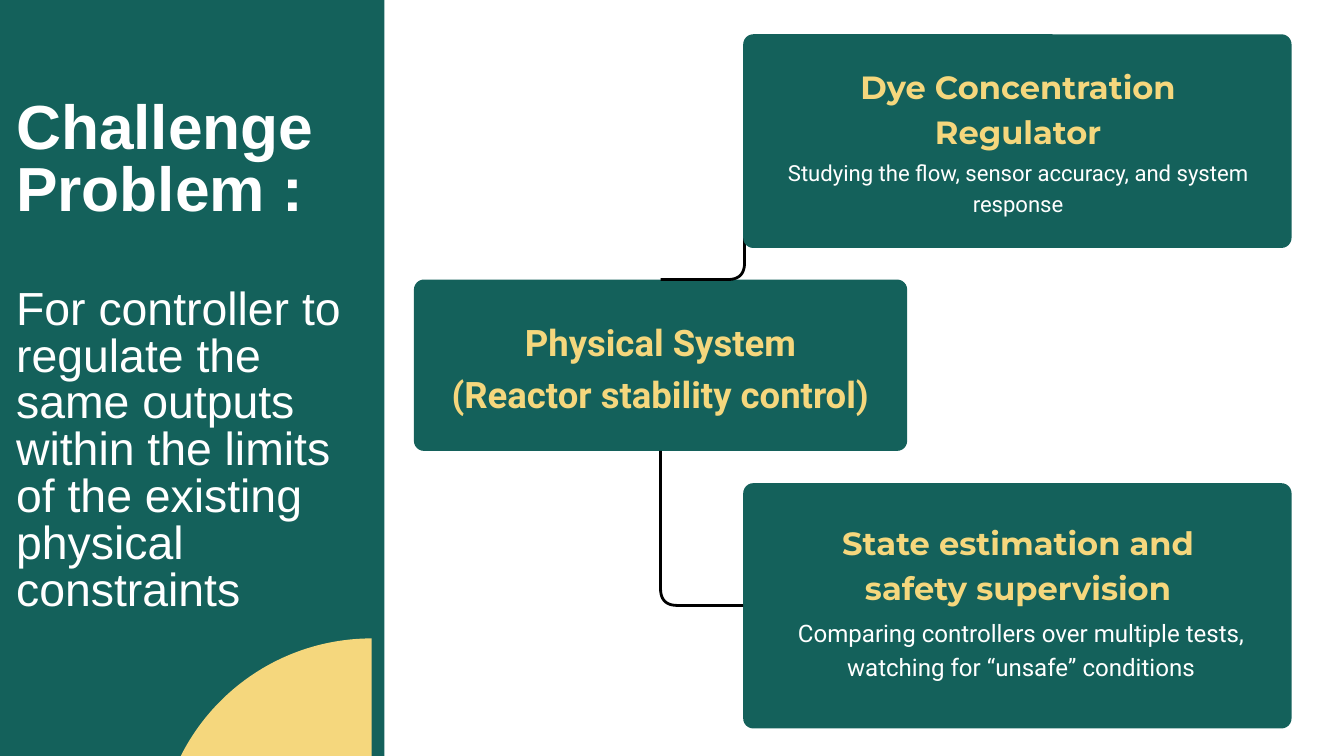
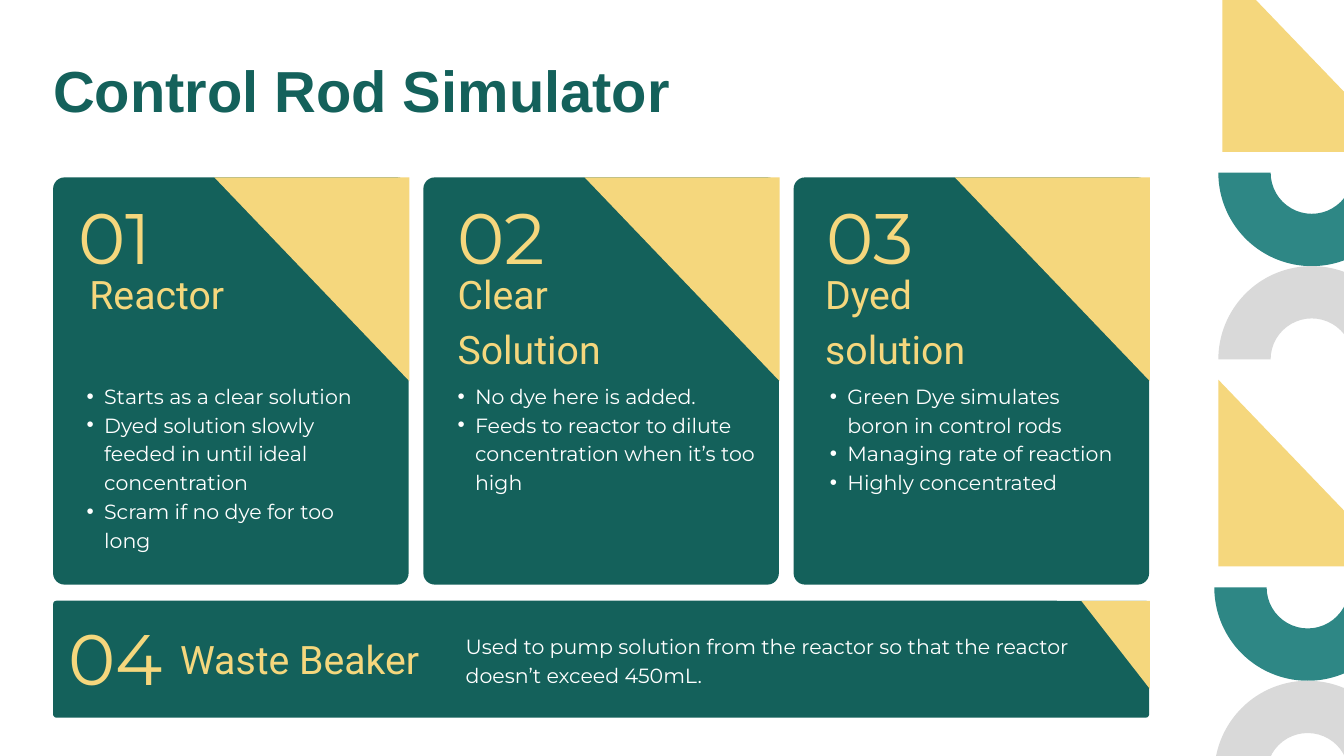
"""Build two slides on the reactor control problem and its simulator."""
from dataclasses import dataclass

from lxml.etree import SubElement
from pptx import Presentation
from pptx.dml.color import RGBColor
from pptx.enum.shapes import MSO_SHAPE as Preset
from pptx.enum.text import MSO_ANCHOR as Anchor, MSO_AUTO_SIZE as AutoSize, PP_ALIGN as Align
from pptx.oxml.ns import qn
from pptx.util import Inches, Pt


@dataclass(frozen=True)
class TextStyle:
    font: str
    size: float
    line: float
    color: str
    bold: bool = False


@dataclass(frozen=True)
class Theme:
    green: str = "14615B"
    teal: str = "2E8785"
    yellow: str = "F5D77D"
    gray: str = "D9D9D9"
    white: str = "FFFFFF"
    black: str = "000000"

    panel_title = TextStyle("Arial", 66.7, 67.3, white, True)
    panel_body = TextStyle("Arial", 49.7, 50.2, white)
    slide_title = TextStyle("Arial", 62, 62.6, green, True)
    system = TextStyle("Roboto", 39.1, 54.8, yellow, True)
    box_title = TextStyle("Montserrat", 34.4, 48.1, yellow, True)
    regulator_note = TextStyle("Roboto", 23.7, 33.1, white)
    supervision_note = TextStyle("Roboto", 25.8, 36.1, white)
    number = TextStyle("Montserrat", 76.5, 107.2, yellow)
    card_title = TextStyle("Roboto", 42, 58.8, yellow)
    card_text = TextStyle("Montserrat", 22, 30.8, white)


class Deck:
    def __init__(self, theme):
        self.theme = theme
        self.presentation = Presentation()
        self.presentation.slide_width = Inches(20)
        self.presentation.slide_height = Inches(11.25)
        self.slide = None

    def add_slide(self, layout_index):
        layout = self.presentation.slide_layouts[layout_index]
        self.slide = self.presentation.slides.add_slide(layout)

    def shape(self, preset, box, color, rotation=0):
        shape = self.slide.shapes.add_shape(preset, *map(Inches, box))
        shape.shadow.inherit = False
        shape.fill.solid()
        shape.fill.fore_color.rgb = RGBColor.from_string(color)
        shape.line.fill.background()
        shape.rotation = rotation
        return shape

    def card(self, box, radius=0.15):
        card = self.shape(Preset.ROUNDED_RECTANGLE, box, self.theme.green)
        card.adjustments[0] = radius / min(box[2:])

    def corner(self, right, top, width, height):
        box = (right - width, top, width, height)
        self.shape(Preset.RIGHT_TRIANGLE, box, self.theme.yellow, 180)

    def half_ring(self, left, top, color, rotation=0):
        ring = self.shape(Preset.BLOCK_ARC, (left, top, 2.78, 2.78), color, rotation)
        ring.adjustments[2] = 0.28

    def rounded_line(self, points, radius=0.25, steps=12):
        route = [points[0]]
        for before, turn, after in zip(points, points[1:], points[2:]):
            start, end = self.toward(turn, before, radius), self.toward(turn, after, radius)
            for step in range(steps + 1):
                t = step / steps
                route.append(tuple((1 - t) ** 2 * a + 2 * t * (1 - t) * b + t * t * c
                                   for a, b, c in zip(start, turn, end)))
        route.append(points[-1])
        route = [(Inches(x), Inches(y)) for x, y in route]
        builder = self.slide.shapes.build_freeform(*route[0])
        builder.add_line_segments(route[1:], close=False)
        line = builder.convert_to_shape()
        line.shadow.inherit = False
        line.fill.background()
        line.line.color.rgb = RGBColor.from_string(self.theme.black)
        line.line.width = Pt(3)

    @staticmethod
    def toward(origin, target, distance):
        length = sum(abs(b - a) for a, b in zip(origin, target))
        return tuple(a + (b - a) * distance / length for a, b in zip(origin, target))

    def text(self, box, content, style, align=Align.LEFT):
        shape = self.slide.shapes.add_textbox(*map(Inches, box))
        self.set_text(shape, content, style, align)

    def placeholder(self, index, box, content, style, bullets=False):
        shape = self.slide.placeholders[index]
        shape.left, shape.top, shape.width, shape.height = map(Inches, box)
        shape.element.getparent().append(shape.element)
        self.set_text(shape, content, style, Align.LEFT, bullets)

    def set_text(self, shape, content, style, align, bullets=False):
        frame = shape.text_frame
        frame.text = content
        frame.word_wrap = True
        frame.auto_size = AutoSize.NONE
        frame.vertical_anchor = Anchor.TOP
        frame.margin_left = frame.margin_top = frame.margin_right = frame.margin_bottom = 0
        for paragraph in frame.paragraphs:
            self.set_bullet(paragraph, bullets)
            paragraph.alignment = align
            paragraph.line_spacing = Pt(style.line)
            paragraph.space_before = paragraph.space_after = Pt(0)
            for run in paragraph.runs:
                run.font.name = style.font
                run.font.size = Pt(style.size)
                run.font.bold = style.bold
                run.font.color.rgb = RGBColor.from_string(style.color)

    @staticmethod
    def set_bullet(paragraph, bullets):
        properties = paragraph._p.get_or_add_pPr()
        indent = Inches(0.26) if bullets else 0
        properties.set("marL", str(2 * indent))
        properties.set("indent", str(-indent))
        if bullets:
            SubElement(properties, qn("a:buFont"), typeface="Arial")
            SubElement(properties, qn("a:buChar"), char="•")
        else:
            SubElement(properties, qn("a:buNone"))


def build_challenge(deck):
    theme = deck.theme
    deck.add_slide(1)
    deck.card((6.16, 4.16, 7.34, 2.55))
    deck.shape(Preset.RECTANGLE, (0, 0, 5.72, 11.25), theme.green)
    deck.card((11.06, 7.19, 8.16, 3.65))
    deck.rounded_line([(12.32, 1.85), (11.08, 1.85), (11.08, 4.16), (9.83, 4.16)])
    deck.rounded_line([(11.06, 9.01), (9.83, 9.01), (9.83, 6.71)])
    deck.shape(Preset.PIE_WEDGE, (2.35, 9.5, 3.18, 3.18), theme.yellow)
    deck.card((11.06, 0.51, 8.16, 3.18))

    deck.placeholder(0, (0.24, 1.47, 5.15, 1.87), "Challenge Problem :", theme.panel_title)
    deck.placeholder(1, (0.24, 4.28, 5.15, 4.88),
                     "For controller to regulate the same outputs within the limits "
                     "of the existing physical constraints", theme.panel_body)
    for box, content, style in (
        ((11.84, 0.91, 6.62, 1.31), "Dye Concentration Regulator", theme.box_title),
        ((11.51, 2.31, 7.28, 0.9),
         "Studying the flow, sensor accuracy, and system response", theme.regulator_note),
        ((6.41, 4.66, 6.84, 1.5), "Physical System\n(Reactor stability control)", theme.system),
        ((11.93, 7.69, 6.44, 1.31), "State estimation and safety supervision", theme.box_title),
        ((11.84, 9.13, 6.71, 0.99),
         "Comparing controllers over multiple tests, watching for “unsafe” conditions",
         theme.supervision_note),
    ):
        deck.text(box, content, style, Align.CENTER)


def build_side_pattern(deck):
    theme = deck.theme
    for left, triangle_left, triangle_top in ((18.13, 18.19, -0.52), (18.07, 18.13, 5.65)):
        ring_top = triangle_top + 1.7
        deck.shape(Preset.RIGHT_TRIANGLE, (triangle_left, triangle_top, 2.67, 2.78), theme.yellow)
        deck.half_ring(left, ring_top, theme.teal, 180)
        deck.half_ring(left, ring_top + 2.78, theme.gray)


def build_simulator(deck):
    theme = deck.theme
    deck.add_slide(4)
    build_side_pattern(deck)
    deck.placeholder(0, (0.79, 0.97, 12.26, 0.9), "Control Rod Simulator", theme.slide_title)

    cards = (
        ("Reactor", 1.17, 1.33, 1.03, 4.46,
         "Starts as a clear solution\n"
         "Dyed solution slowly feeded in until ideal concentration\n"
         "Scram if no dye for too long"),
        ("Clear\nSolution", 6.81, 6.81, 6.55, 4.78,
         "No dye here is added.\n"
         "Feeds to reactor to dilute concentration when it’s too high"),
        ("Dyed\nsolution", 12.3, 12.28, 12.09, 4.61,
         "Green Dye simulates boron in control rods\n"
         "Managing rate of reaction\n"
         "Highly concentrated"),
    )
    for position, card in enumerate(cards):
        title, number_left, title_left, list_left, list_width, items = card
        left = 0.79 + 5.51 * position
        deck.card((left, 2.64, 5.29, 6.06), 0.17)
        deck.corner(left + 5.3, 2.64, 2.9, 3.03)
        deck.text((number_left, 2.66, 2.09, 1.43), f"{position + 1:02}", theme.number)
        deck.text((title_left, 3.91, 4.6, 1.59), title, theme.card_title)
        deck.placeholder(position + 1, (list_left, 5.65, list_width, 2.54), items,
                         theme.card_text, bullets=True)

    deck.card((0.79, 8.94, 16.31, 1.74), 0.05)
    deck.corner(17.11, 8.94, 1.02, 1.31)
    deck.text((1.02, 8.92, 2.09, 1.43), "04", theme.number)
    deck.text((2.68, 9.33, 4.01, 0.78), "Waste Beaker", theme.card_title)
    deck.placeholder(4, (6.93, 9.37, 9.53, 0.83),
                     "Used to pump solution from the reactor so that the reactor "
                     "doesn’t exceed 450mL.", theme.card_text)


def main():
    deck = Deck(Theme())
    build_challenge(deck)
    build_simulator(deck)
    deck.presentation.save("out.pptx")


if __name__ == "__main__":
    main()
